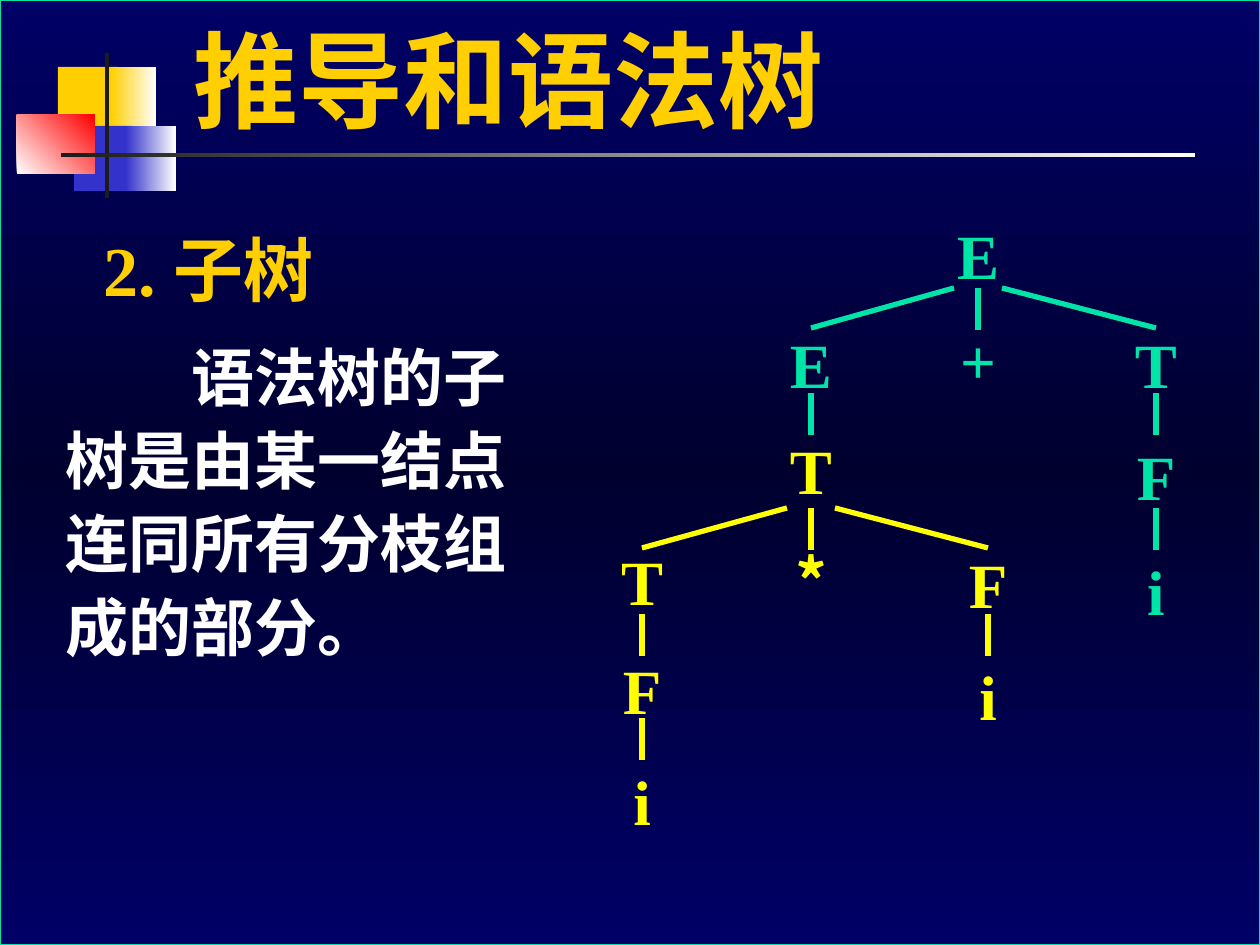
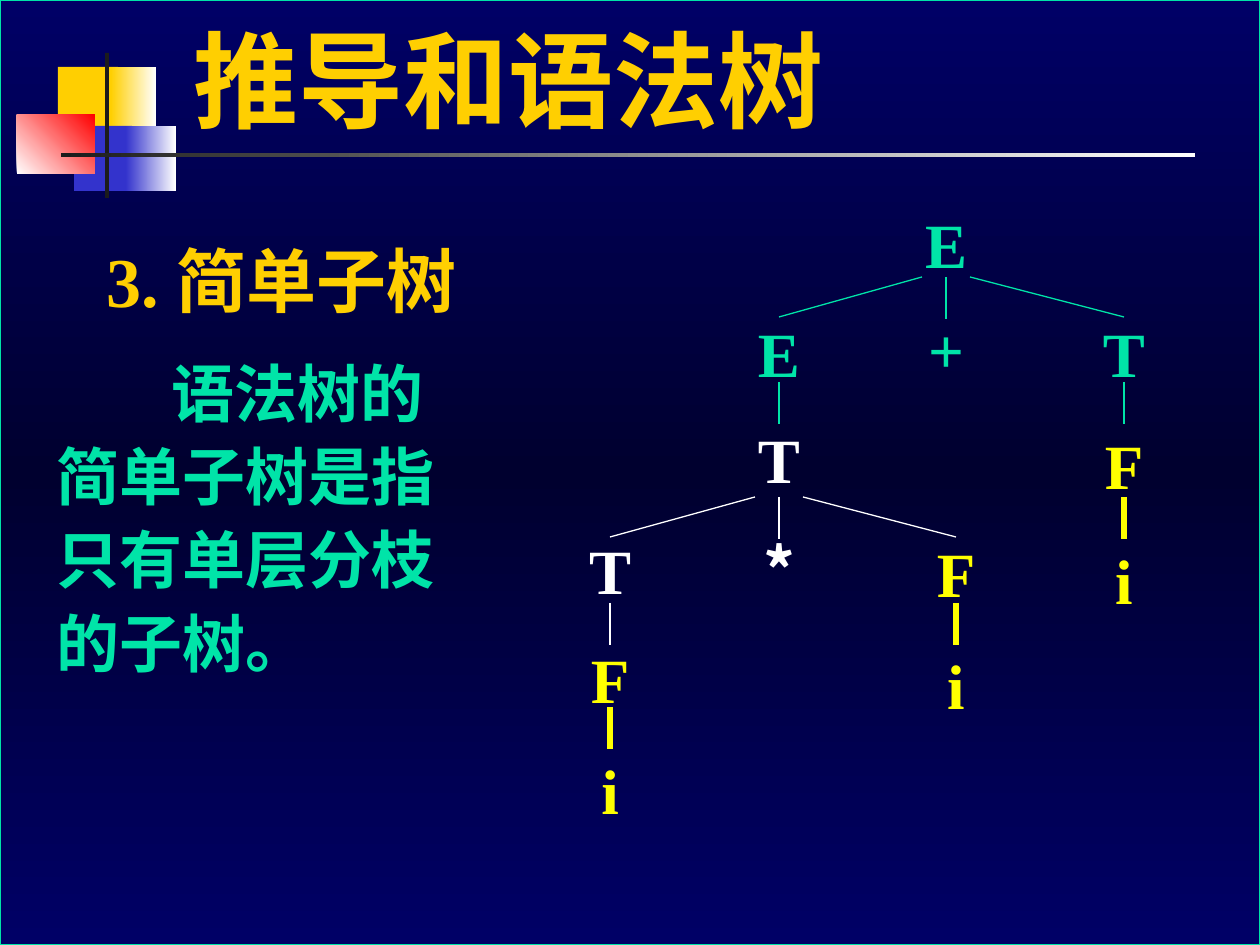
from dataclasses import dataclass

from lxml import etree
from pptx import Presentation
from pptx.dml.color import RGBColor
from pptx.enum.shapes import MSO_CONNECTOR, MSO_SHAPE
from pptx.enum.text import MSO_ANCHOR, MSO_AUTO_SIZE, PP_ALIGN
from pptx.oxml.ns import qn
from pptx.util import Emu, Pt

RECTANGLE = MSO_SHAPE.RECTANGLE
STRAIGHT = MSO_CONNECTOR.STRAIGHT
BOTTOM = MSO_ANCHOR.BOTTOM
NO_FIT, GROW = MSO_AUTO_SIZE.NONE, MSO_AUTO_SIZE.SHAPE_TO_FIT_TEXT
LEFT, CENTER = PP_ALIGN.LEFT, PP_ALIGN.CENTER

EMU_PER_PX = 914400 / 126
SLIDE_WIDTH, SLIDE_HEIGHT = 1260, 945
TITLE_ONLY = 5


@dataclass(frozen=True)
class Theme:
    gold: str = "FFCF01"
    green: str = "00E4A8"
    yellow: str = "FFFF00"
    white: str = "FFFFFF"
    blue: str = "3333CC"
    red: str = "FF0000"
    black: str = "1C1C1C"
    navy: str = "000066"
    midnight: str = "00002F"
    latin: str = "Times New Roman"
    chinese: str = "Noto Sans CJK SC"
    title_size: int = 60
    heading_size: int = 40
    body_size: int = 36
    thin: float = 0.75
    thick: float = 3


THEME = Theme()

NODE_WIDTH, NODE_HEIGHT = 67, 88
EDGE_TOPS = (78, 183, 298, 404, 508)
EDGE_HEIGHT, BRANCH_HEIGHT, BRANCH_GAP = 42, 40, 24
ROOT_X, LEFT_X, FAR_LEFT_X, MIDDLE_X, RIGHT_X = 33, -134, -303, 43, 211


@dataclass(frozen=True)
class Pen:
    colour: str
    width: float


@dataclass(frozen=True)
class Node:
    label: str
    x: int
    top: int
    pen: Pen
    children: tuple = ()


def px(value):
    return Emu(round(value * EMU_PER_PX))


def rgb(colour):
    return RGBColor.from_string(colour)


def place(shape, left, top, width, height):
    shape.left, shape.top = px(left), px(top)
    shape.width, shape.height = px(width), px(height)


def format_paragraph(paragraph, colour, size, font_name=THEME.latin, align=LEFT):
    paragraph.alignment = align
    font = paragraph.font
    font.name, font.size, font.bold = font_name, Pt(size), True
    font.color.rgb = rgb(colour)
    defaults = paragraph._p.pPr.find(qn("a:defRPr"))
    etree.SubElement(defaults, qn("a:ea"), typeface=THEME.chinese)


def paint_gradient(shape, colours, angle):
    shape.fill.gradient()
    stops = shape.element.find(".//" + qn("a:gsLst"))
    for stop in list(stops):
        stops.remove(stop)
    for index, colour in enumerate(colours):
        position = index * 100000 // (len(colours) - 1)
        stop = etree.SubElement(stops, qn("a:gs"), pos=str(position))
        etree.SubElement(stop, qn("a:srgbClr"), val=colour)
    shape.element.find(".//" + qn("a:lin")).set("ang", str(angle * 60000))


def add_block(slide, box, colours, angle=0):
    block = slide.shapes.add_shape(RECTANGLE, *map(px, box))
    block.shadow.inherit = False
    block.line.fill.background()
    if len(colours) == 1:
        block.fill.solid()
        block.fill.fore_color.rgb = rgb(colours[0])
    else:
        paint_gradient(block, colours, angle)
    return block


def move_backdrop_to_layout(slide, layout):
    theme = THEME
    background = add_block(
        slide,
        (0, 0, SLIDE_WIDTH, SLIDE_HEIGHT),
        (theme.navy, theme.midnight, theme.navy),
        90,
    )
    background.line.color.rgb = rgb(theme.green)
    background.line.width = Pt(theme.thin)
    blocks = [background] + [
        add_block(slide, *block)
        for block in (
            ((58, 67, 60, 66), (theme.gold,)),
            ((111, 67, 45, 66), (theme.gold, theme.white)),
            ((74, 126, 58, 65), (theme.blue,)),
            ((126, 126, 50, 65), (theme.blue, theme.white)),
            ((17, 115, 78, 59), (theme.white, theme.red), 315),
            ((105, 53, 4, 145), (theme.black,)),
            ((61, 153, 1134, 4), (theme.black, theme.white)),
        )
    ]
    for block in blocks:
        layout.shapes.element.append(block.element)


def prepare_layout(layout):
    for placeholder in list(layout.placeholders):
        if placeholder.placeholder_format.idx == 0:
            place(placeholder, 157, 53, 1060, 95)
        else:
            placeholder.element.getparent().remove(placeholder.element)


def add_title(slide, text):
    frame = slide.shapes.title.text_frame
    frame.text = text
    frame.auto_size = NO_FIT
    frame.vertical_anchor = BOTTOM
    frame.margin_left = px(36)
    format_paragraph(
        frame.paragraphs[0], THEME.gold, THEME.title_size, THEME.chinese
    )


def add_text(shapes, text, box, colour, size, wrap=True, **style):
    frame = shapes.add_textbox(*map(px, box)).text_frame
    frame.word_wrap = wrap
    frame.auto_size = GROW
    frame.text = text
    paragraph = frame.paragraphs[0]
    format_paragraph(paragraph, colour, size, **style)
    return paragraph


def add_definition(slide, text, box, colour, indent):
    paragraph = add_text(slide.shapes, text, box, colour, THEME.body_size)
    paragraph.line_spacing = 1.1
    paragraph._p.pPr.set("indent", str(px(indent)))


def add_edge(shapes, start, end, pen):
    edge = shapes.add_connector(STRAIGHT, *map(px, (*start, *end)))
    edge.line.color.rgb = rgb(pen.colour)
    edge.line.width = Pt(pen.width)
    etree.SubElement(edge.element.spPr, qn("a:effectLst"))


def draw_tree(shapes, node, origin, depth=0):
    left, top = origin
    centre = left + node.x
    box = (centre - NODE_WIDTH / 2, top + node.top, NODE_WIDTH, NODE_HEIGHT)
    font_name = THEME.chinese if node.label == "*" else THEME.latin
    add_text(
        shapes, node.label, box, node.pen.colour, THEME.body_size,
        wrap=False, font_name=font_name, align=CENTER,
    )
    for child in node.children:
        edge_top = top + EDGE_TOPS[depth]
        side = (child.x > node.x) - (child.x < node.x)
        height = BRANCH_HEIGHT if side else EDGE_HEIGHT
        start = (centre + side * BRANCH_GAP, edge_top)
        end = (left + child.x, edge_top + height)
        add_edge(shapes, start, end, node.pen)
        draw_tree(shapes, child, origin, depth + 1)


def factor(x, top, leaf_top, pen):
    return Node("F", x, top, pen, (Node("i", x, leaf_top, pen),))


def expression_tree(sum_pen, product_pen, inner_pen, outer_pen):
    left_term = Node(
        "T", FAR_LEFT_X, 326, product_pen,
        (factor(FAR_LEFT_X, 435, 546, inner_pen),),
    )
    product = Node(
        "T", LEFT_X, 215, product_pen,
        (
            left_term,
            Node("*", LEFT_X, 326, product_pen),
            factor(MIDDLE_X, 329, 441, inner_pen),
        ),
    )
    right_term = Node(
        "T", RIGHT_X, 109, sum_pen, (factor(RIGHT_X, 221, 336, outer_pen),)
    )
    return Node(
        "E", ROOT_X, 0, sum_pen,
        (
            Node("E", LEFT_X, 109, sum_pen, (product,)),
            Node("+", ROOT_X, 105, sum_pen),
            right_term,
        ),
    )


def fill_slide(slide, heading, heading_box, definition, tree, origin):
    add_title(slide, "推导和语法树")
    add_text(slide.shapes, heading, heading_box, THEME.gold, THEME.heading_size)
    add_definition(slide, *definition)
    draw_tree(slide.shapes.add_group_shape().shapes, tree, origin)


def main():
    presentation = Presentation()
    presentation.slide_width = px(SLIDE_WIDTH)
    presentation.slide_height = px(SLIDE_HEIGHT)
    layout = presentation.slide_layouts[TITLE_ONLY]
    prepare_layout(layout)
    subtree_slide = presentation.slides.add_slide(layout)
    simple_slide = presentation.slides.add_slide(layout)
    move_backdrop_to_layout(subtree_slide, layout)

    green, yellow = Pen(THEME.green, THEME.thick), Pen(THEME.yellow, THEME.thick)
    thin_green, thin_white = Pen(THEME.green, THEME.thin), Pen(THEME.white, THEME.thin)

    fill_slide(
        subtree_slide,
        "2. 子树",
        (91, 220, 266, 97),
        ("语法树的子树是由某一结点连同所有分枝组成的部分。",
         (53, 325, 494, 345), THEME.white, 126),
        expression_tree(green, yellow, yellow, green),
        (945, 210),
    )
    fill_slide(
        simple_slide,
        "3. 简单子树",
        (94, 231, 420, 97),
        ("语法树的简单子树是指只有单层分枝的子树。",
         (44, 341, 449, 345), THEME.green, 115),
        expression_tree(thin_green, thin_white, yellow, yellow),
        (913, 199),
    )
    presentation.save("out.pptx")


if __name__ == "__main__":
    main()
